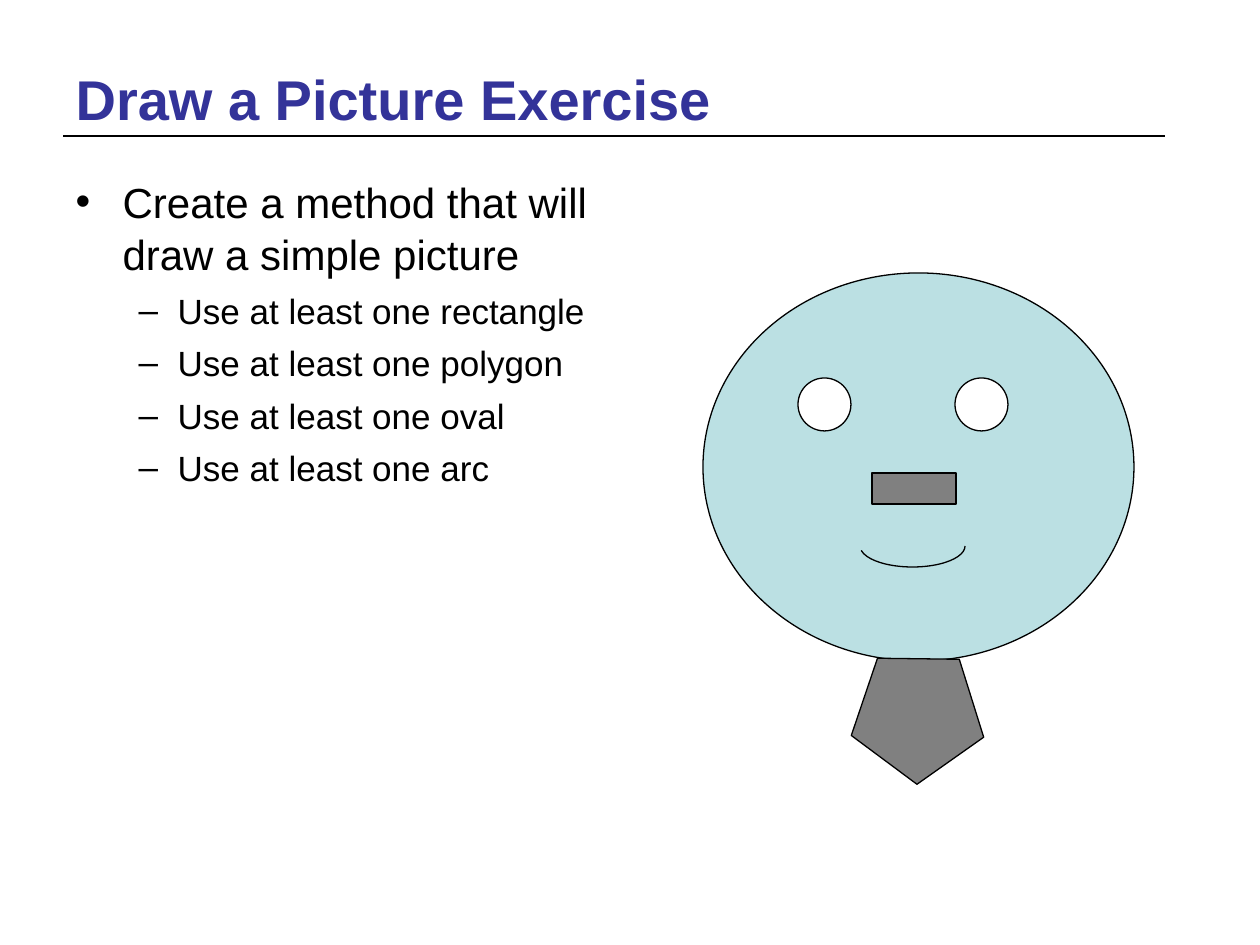
from dataclasses import dataclass

from lxml.etree import SubElement
from pptx import Presentation
from pptx.dml.color import RGBColor
from pptx.enum.shapes import MSO_CONNECTOR as Connector, MSO_SHAPE as Shape
from pptx.enum.text import MSO_ANCHOR as Anchor, MSO_AUTO_SIZE as AutoSize, PP_ALIGN as Align
from pptx.oxml.ns import qn
from pptx.util import Emu, Pt

EMU_PER_PX = 914400 / 126


def px(length):
    return Emu(round(length * EMU_PER_PX))


@dataclass(frozen=True)
class Theme:
    font: str = "Arial"
    ink: str = "000000"
    title: str = "333399"
    skin: str = "BBE0E3"
    white: str = "FFFFFF"
    gray: str = "808080"
    title_size: int = 32
    # Per list level: size, space before, left margin px, hanging px, bullet
    levels: tuple = ((24, 6, 47, 47, "•"), (20, 5, 102, 39, "–"))
    line_spacing: float = 1.04
    outline: float = 0.75
    rule: float = 1.5


class SlideBuilder:
    def __init__(self, slide, theme):
        self.slide, self.theme = slide, theme

    def place(self, holder, box, anchor):
        holder.left, holder.top, holder.width, holder.height = map(px, box)
        frame = holder.text_frame
        frame.word_wrap = True
        frame.auto_size = AutoSize.NONE
        frame.vertical_anchor = anchor
        return frame

    def run(self, paragraph, text, size, color, bold=False):
        font_run = paragraph.add_run()
        font_run.text = text
        font = font_run.font
        font.name, font.size, font.bold = self.theme.font, Pt(size), bold
        font.color.rgb = RGBColor.from_string(color)

    def title(self, text, box):
        heading = self.place(self.slide.shapes.title, box, Anchor.MIDDLE).paragraphs[0]
        heading.alignment = Align.LEFT
        self.run(heading, text, self.theme.title_size, self.theme.title, bold=True)

    def bullets(self, items, box):
        frame = self.place(self.slide.placeholders[1], box, Anchor.TOP)
        for index, (level, text) in enumerate(items):
            size, before, margin, hanging, mark = self.theme.levels[level]
            item = frame.add_paragraph() if index else frame.paragraphs[0]
            item.level = level
            props = item._p.get_or_add_pPr()
            props.set("marL", str(px(margin)))
            props.set("indent", str(px(-hanging)))
            bullet_color = SubElement(props, qn("a:buClr"))
            SubElement(bullet_color, qn("a:srgbClr"), val=self.theme.ink)
            SubElement(props, qn("a:buChar"), char=mark)
            item.line_spacing = self.theme.line_spacing
            item.space_before = Pt(before if index else 0)
            self.run(item, text, size, self.theme.ink)

    def rule(self, left, right, y):
        line = self.slide.shapes.add_connector(
            Connector.STRAIGHT, px(left), px(y), px(right), px(y))
        line.line.color.rgb = RGBColor.from_string(self.theme.ink)
        line.line.width = Pt(self.theme.rule)
        SubElement(line._element.spPr, qn("a:effectLst"))

    def shape(self, kind, box, fill=None, rotation=0):
        part = self.slide.shapes.add_shape(kind, *map(px, box))
        part.shadow.inherit = False
        part.rotation = rotation
        if fill:
            part.fill.solid()
            part.fill.fore_color.rgb = RGBColor.from_string(fill)
        else:
            part.fill.background()
        part.line.color.rgb = RGBColor.from_string(self.theme.ink)
        part.line.width = Pt(self.theme.outline)
        return part

    def arc(self, box, start, end):
        curve = self.shape(Shape.ARC, box)
        # Angles are stored in 60000ths of a degree, adjustments in 100000ths
        for index, degrees in enumerate((start, end)):
            curve.adjustments[index] = degrees * 0.6


def main():
    deck = Presentation()
    deck.slide_width, deck.slide_height = px(1260), px(945)
    theme = Theme()
    page = SlideBuilder(deck.slides.add_slide(deck.slide_layouts[1]), theme)

    # Heading
    page.rule(63, 1165, 136)
    page.title("Draw a Picture Exercise", (63, 38, 1134, 120))

    # Task list
    page.bullets([
        (0, "Create a method that will draw a simple picture"),
        *((1, f"Use at least one {figure}")
          for figure in ("rectangle", "polygon", "oval", "arc")),
    ], (63, 168, 557, 677))

    # Face
    page.shape(Shape.OVAL, (703, 273, 431, 388), theme.skin)
    for eye_left in (798, 955):
        page.shape(Shape.OVAL, (eye_left, 378, 53, 53), theme.white)
    page.shape(Shape.RECTANGLE, (872, 473, 84, 31), theme.gray)
    page.arc((860, 525, 105, 42), 0, 175)

    # Tie
    page.shape(Shape.REGULAR_PENTAGON, (858, 654, 132, 126), theme.gray, rotation=108.7)

    deck.save("out.pptx")


if __name__ == "__main__":
    main()
